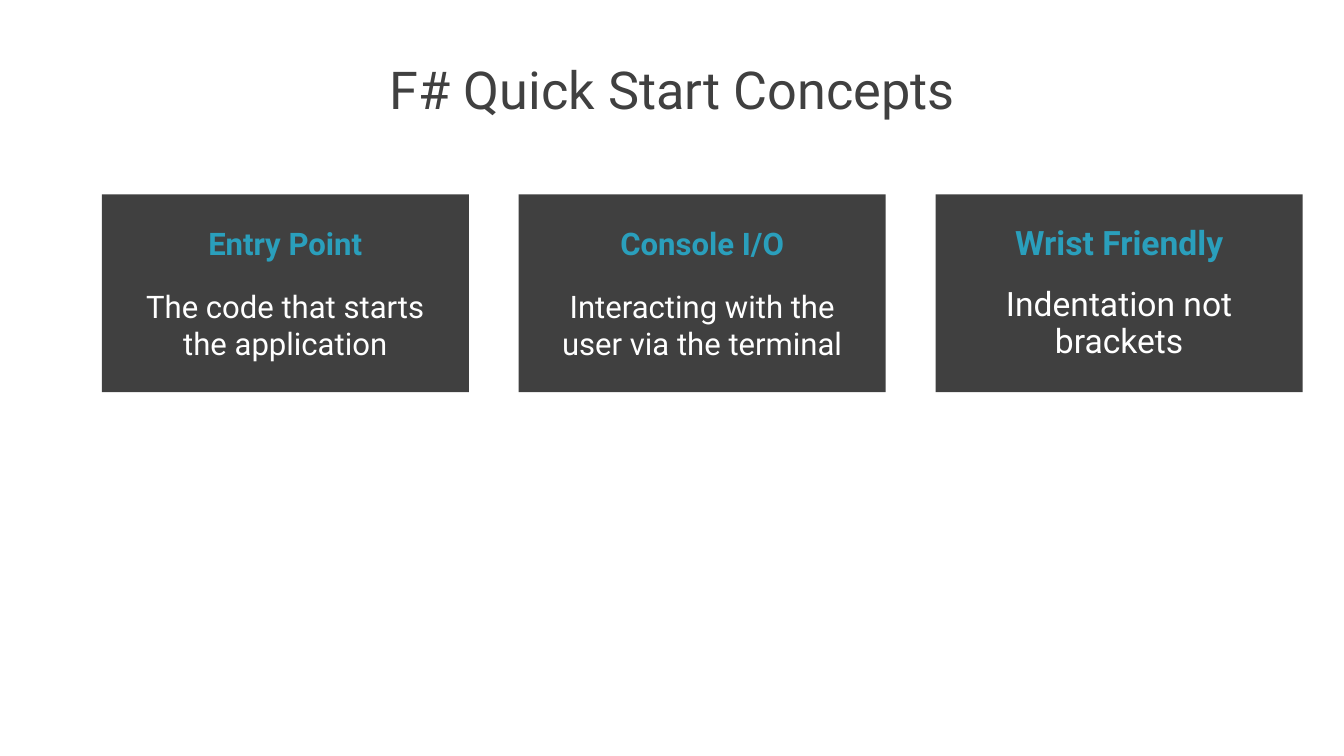
from dataclasses import dataclass

from pptx import Presentation
from pptx.dml.color import RGBColor
from pptx.enum.shapes import MSO_SHAPE
from pptx.enum.text import MSO_ANCHOR, MSO_AUTO_SIZE, PP_ALIGN
from pptx.util import Inches, Pt

TITLE = "F# Quick Start Concepts"
# heading, explanation, type size, line spacing
CONCEPTS = [
    ("Entry Point", "The code that starts the application", 22.2, 1.0),
    ("Console I/O", "Interacting with the user via the terminal", 22.2, 1.0),
    ("Wrist Friendly", "Indentation not brackets", 24, 0.9),
]


@dataclass(frozen=True)
class Theme:
    font: str = "Roboto"
    dark: RGBColor = RGBColor(0x40, 0x40, 0x40)
    accent: RGBColor = RGBColor(0x2A, 0x9F, 0xBC)
    light: RGBColor = RGBColor(0xFF, 0xFF, 0xFF)
    title_size: float = 37.3


THEME = Theme()
CARD_LEFT, CARD_TOP = 1.01, 1.93
CARD_WIDTH, CARD_HEIGHT = 3.64, 1.96
CARD_PITCH = 4.135
CARD_INSET = Inches(0.3)
HEADING_GAP = Pt(18)


def add_line(paragraph, text, size, color, spacing, bold=False):
    paragraph.alignment = PP_ALIGN.CENTER
    paragraph.line_spacing = spacing
    run = paragraph.add_run()
    run.text = text
    run.font.name = THEME.font
    run.font.size = Pt(size)
    run.font.bold = bold
    run.font.color.rgb = color


def add_title(slide):
    title = slide.shapes.title
    title.left, title.top = Inches(0.92), Inches(0.62)
    title.width, title.height = Inches(11.5), Inches(0.59)
    frame = title.text_frame
    frame.word_wrap = True
    frame.auto_size = MSO_AUTO_SIZE.NONE
    frame.vertical_anchor = MSO_ANCHOR.MIDDLE
    add_line(frame.paragraphs[0], TITLE, THEME.title_size, THEME.dark, 0.9)


def add_card(slide, column, heading, explanation, size, spacing):
    card = slide.shapes.add_shape(
        MSO_SHAPE.RECTANGLE,
        Inches(CARD_LEFT + column * CARD_PITCH), Inches(CARD_TOP),
        Inches(CARD_WIDTH), Inches(CARD_HEIGHT),
    )
    card.shadow.inherit = False
    card.fill.solid()
    card.fill.fore_color.rgb = THEME.dark
    card.line.fill.background()

    frame = card.text_frame
    frame.word_wrap = True
    frame.vertical_anchor = MSO_ANCHOR.MIDDLE
    frame.margin_left = frame.margin_right = CARD_INSET
    frame.margin_top = frame.margin_bottom = CARD_INSET
    add_line(frame.paragraphs[0], heading, size, THEME.accent, spacing, bold=True)
    body = frame.add_paragraph()
    body.space_before = HEADING_GAP
    add_line(body, explanation, size, THEME.light, spacing)


def main():
    deck = Presentation()
    deck.slide_width, deck.slide_height = Inches(13.33), Inches(7.5)
    slide = deck.slides.add_slide(deck.slide_layouts[5])
    add_title(slide)
    for column, concept in enumerate(CONCEPTS):
        add_card(slide, column, *concept)
    deck.save("out.pptx")


if __name__ == "__main__":
    main()
